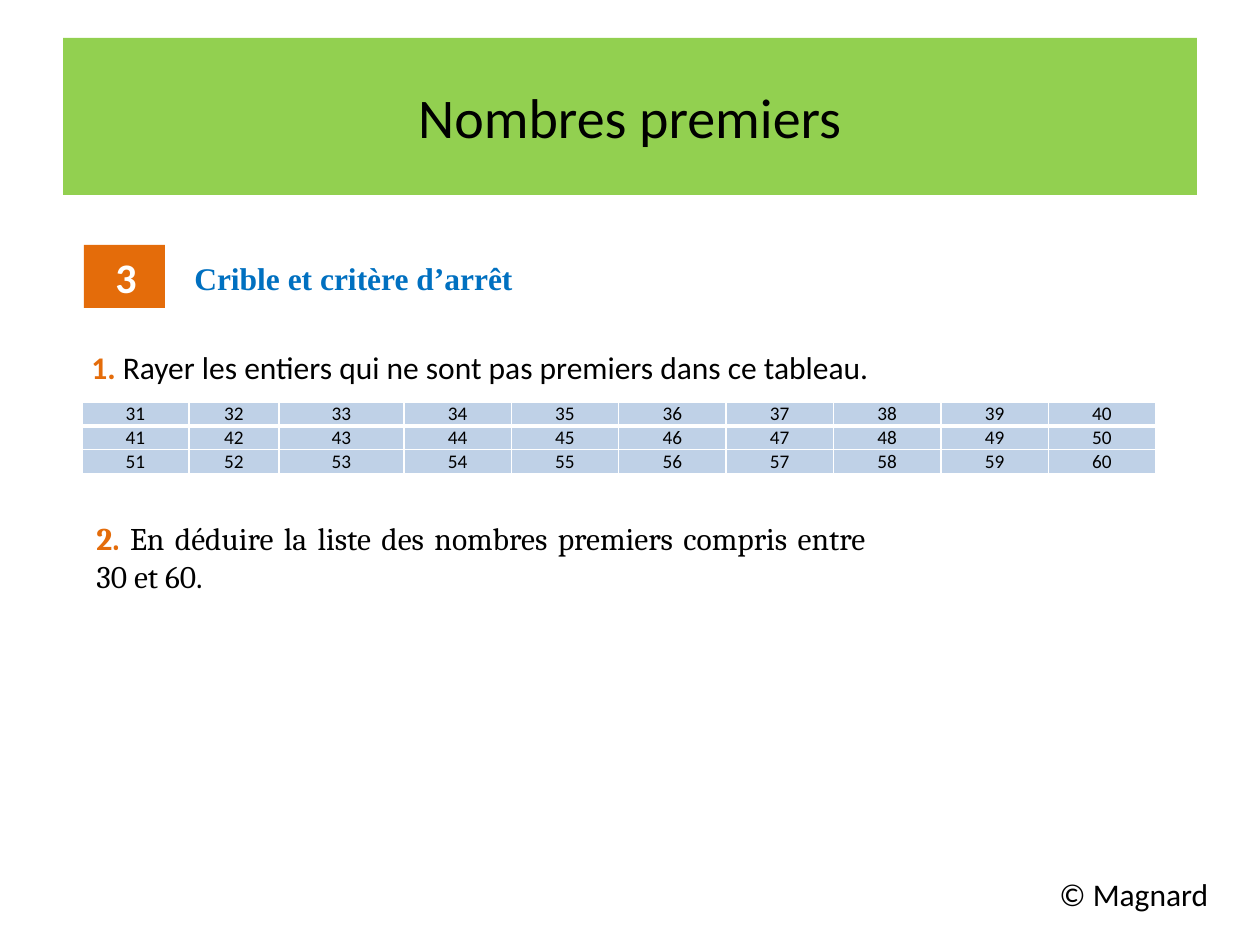
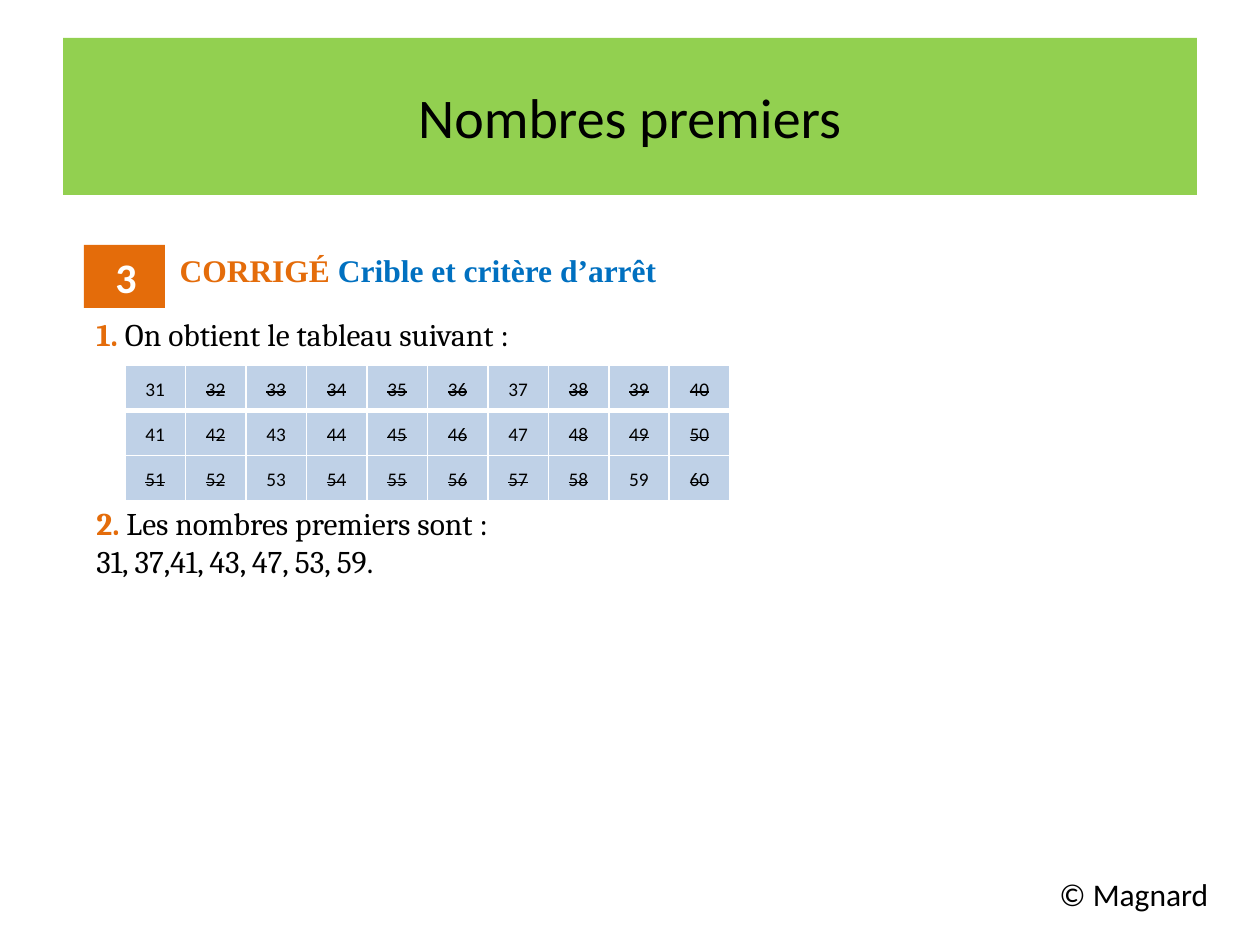
from lxml import etree
from pptx import Presentation
from pptx.dml.color import RGBColor
from pptx.enum.shapes import MSO_SHAPE
from pptx.enum.text import MSO_ANCHOR, MSO_AUTO_SIZE, PP_ALIGN
from pptx.oxml.ns import qn
from pptx.util import Emu, Pt

RECTANGLE = MSO_SHAPE.RECTANGLE
TOP, MIDDLE = MSO_ANCHOR.TOP, MSO_ANCHOR.MIDDLE
NO_AUTOFIT = MSO_AUTO_SIZE.NONE
LEFT, CENTER, JUSTIFY = PP_ALIGN.LEFT, PP_ALIGN.CENTER, PP_ALIGN.JUSTIFY

BLACK = RGBColor(0x00, 0x00, 0x00)
WHITE = RGBColor(0xFF, 0xFF, 0xFF)
GREEN = RGBColor(0x92, 0xD0, 0x50)
ORANGE = RGBColor(0xE4, 0x6C, 0x0A)
BLUE = RGBColor(0x00, 0x70, 0xC0)
PALE_BLUE = RGBColor(0xBF, 0xD1, 0xE7)

PX_PER_INCH = 126
TITLE_ONLY, TITLE_AND_BODY = 5, 1
THIN, THICK = Pt(1), Pt(3)


def style(name, color, size=18, bold=False):
    return {"name": name, "size": Pt(size), "bold": bold, "color": color}


TITLE = style("Calibri", BLACK, 32)
BADGE = style("Calibri", WHITE, 24, True)
PLAIN = style("Calibri", BLACK)
PLAIN_NUMBER = style("Calibri", ORANGE, bold=True)
SERIF = style("Cambria", BLACK)
SERIF_NUMBER = style("Cambria", ORANGE, bold=True)
HEADING = style("Times New Roman", BLUE, bold=True)
HEADING_TAG = style("Times New Roman", ORANGE, bold=True)
CELL = style("Calibri", BLACK, 11)

CHAPTER = "Nombres premiers"
EXERCISE = "3"
TOPIC = "Crible et critère d’arrêt"
COPYRIGHT = "© Magnard"
SIEVE = [range(first, first + 10) for first in (31, 41, 51)]

TITLE_BOX = (63, 38, 1134, 157)
BADGE_BOX = (84, 245, 81, 63)
COPYRIGHT_BOX = (1047, 869, 198, 50)

SLIDES = [
    {
        "layout": TITLE_ONLY,
        "texts": [
            ((72, 253, 1010, 217), [
                {"runs": [(TOPIC, HEADING)], "indent": 110},
                {"runs": [("1. ", PLAIN_NUMBER),
                          ("Rayer les entiers qui ne sont pas premiers dans ce tableau.", PLAIN)],
                 "align": JUSTIFY, "indent": 7, "before": 51},
            ]),
            ((84, 513, 794, 89), [
                {"runs": [("2. ", SERIF_NUMBER),
                          ("En déduire la liste des nombres premiers compris entre 30 et 60.", SERIF)],
                 "align": JUSTIFY},
            ]),
        ],
        "table": {"box": (82, 402, 1074, 70), "first_widths": (107, 90, 125),
                  "inset": 9, "spacing": 1.0, "strike": False},
    },
    {
        "layout": TITLE_AND_BODY,
        "body": ((84, 245, 1134, 624), [
            {"runs": [("CORRIGÉ ", HEADING_TAG), (TOPIC, HEADING)], "indent": 83},
        ]),
        "texts": [
            ((84, 309, 733, 280), [
                {"runs": [("1. ", SERIF_NUMBER), ("On obtient le tableau suivant :", SERIF)],
                 "align": JUSTIFY},
                {"runs": [("2. ", SERIF_NUMBER), ("Les nombres premiers sont :", SERIF)],
                 "align": JUSTIFY, "before": 151},
                {"runs": [("31, 37,41, 43, 47, 53, 59.", SERIF)], "align": JUSTIFY},
            ]),
        ],
        "table": {"box": (125, 365, 605, 136), "first_widths": (),
                  "inset": 6, "spacing": 1.15, "strike": True},
    },
]


def px(length):
    return Emu(round(length * 914400 / PX_PER_INCH))


def is_prime(number):
    return all(number % divisor for divisor in range(2, int(number ** 0.5) + 1))


def place(shape, box):
    for side, length in zip(("left", "top", "width", "height"), box):
        setattr(shape, side, px(length))


def add_run(paragraph, text, look):
    run = paragraph.add_run()
    run.text = text
    for attribute, value in look.items():
        if attribute == "color":
            run.font.color.rgb = value
        else:
            setattr(run.font, attribute, value)
    return run


def write(shape, paragraphs, anchor=TOP):
    frame = shape.text_frame
    frame.word_wrap = True
    frame.auto_size = NO_AUTOFIT
    frame.vertical_anchor = anchor
    for index, content in enumerate(paragraphs):
        paragraph = frame.add_paragraph() if index else frame.paragraphs[0]
        properties = paragraph._p.get_or_add_pPr()
        properties.set("marL", str(px(content.get("indent", 0))))
        properties.set("indent", "0")
        etree.SubElement(properties, qn("a:buNone"))
        paragraph.alignment = content.get("align", LEFT)
        paragraph.space_before = px(content.get("before", 0))
        for text, look in content["runs"]:
            add_run(paragraph, text, look)


def add_text(slide, box, paragraphs):
    write(slide.shapes.add_textbox(*map(px, box)), paragraphs)


def add_frame(slide):
    title = slide.shapes.title
    place(title, TITLE_BOX)
    title.fill.solid()
    title.fill.fore_color.rgb = GREEN
    write(title, [{"runs": [(CHAPTER, TITLE)], "align": CENTER}], MIDDLE)

    badge = slide.shapes.add_shape(RECTANGLE, *map(px, BADGE_BOX))
    badge.shadow.inherit = False
    badge.fill.solid()
    badge.fill.fore_color.rgb = ORANGE
    badge.line.fill.background()
    write(badge, [{"runs": [(EXERCISE, BADGE)], "indent": 19}])

    add_text(slide, COPYRIGHT_BOX, [{"runs": [(COPYRIGHT, PLAIN)]}])


def add_borders(cell, row):
    widths = {"lnL": THIN, "lnR": THIN,
              "lnT": THICK if row == 1 else THIN,
              "lnB": THICK if row == 0 else THIN}
    for tag, width in widths.items():
        line = etree.SubElement(cell._tc.get_or_add_tcPr(), qn("a:" + tag), w=str(width))
        fill = etree.SubElement(line, qn("a:solidFill"))
        etree.SubElement(fill, qn("a:srgbClr"), val=str(WHITE))


def add_sieve(slide, box, first_widths, inset, spacing, strike):
    columns = len(SIEVE[0])
    table = slide.shapes.add_table(len(SIEVE), columns, *map(px, box)).table
    table.horz_banding = False
    equal_width = (box[2] - sum(first_widths)) / (columns - len(first_widths))
    for index, column in enumerate(table.columns):
        column.width = px(first_widths[index] if index < len(first_widths) else equal_width)
    cell_format = {"vertical_anchor": MIDDLE, "margin_left": px(inset),
                   "margin_right": px(inset), "margin_top": 0, "margin_bottom": 0}
    for row, numbers in enumerate(SIEVE):
        table.rows[row].height = px(box[3] / len(SIEVE))
        for column, number in enumerate(numbers):
            cell = table.cell(row, column)
            for attribute, value in cell_format.items():
                setattr(cell, attribute, value)
            add_borders(cell, row)
            cell.fill.solid()
            cell.fill.fore_color.rgb = PALE_BLUE
            paragraph = cell.text_frame.paragraphs[0]
            paragraph.alignment = CENTER
            paragraph.line_spacing = spacing
            run = add_run(paragraph, str(number), CELL)
            if strike and not is_prime(number):
                run.font._element.set("strike", "sngStrike")


def main():
    deck = Presentation()
    deck.slide_width, deck.slide_height = px(1260), px(945)
    for content in SLIDES:
        slide = deck.slides.add_slide(deck.slide_layouts[content["layout"]])
        if "body" in content:
            box, paragraphs = content["body"]
            body = slide.placeholders[1]
            place(body, box)
            write(body, paragraphs)
        add_frame(slide)
        add_sieve(slide, **content["table"])
        for box, paragraphs in content["texts"]:
            add_text(slide, box, paragraphs)
    deck.save("out.pptx")


if __name__ == "__main__":
    main()
